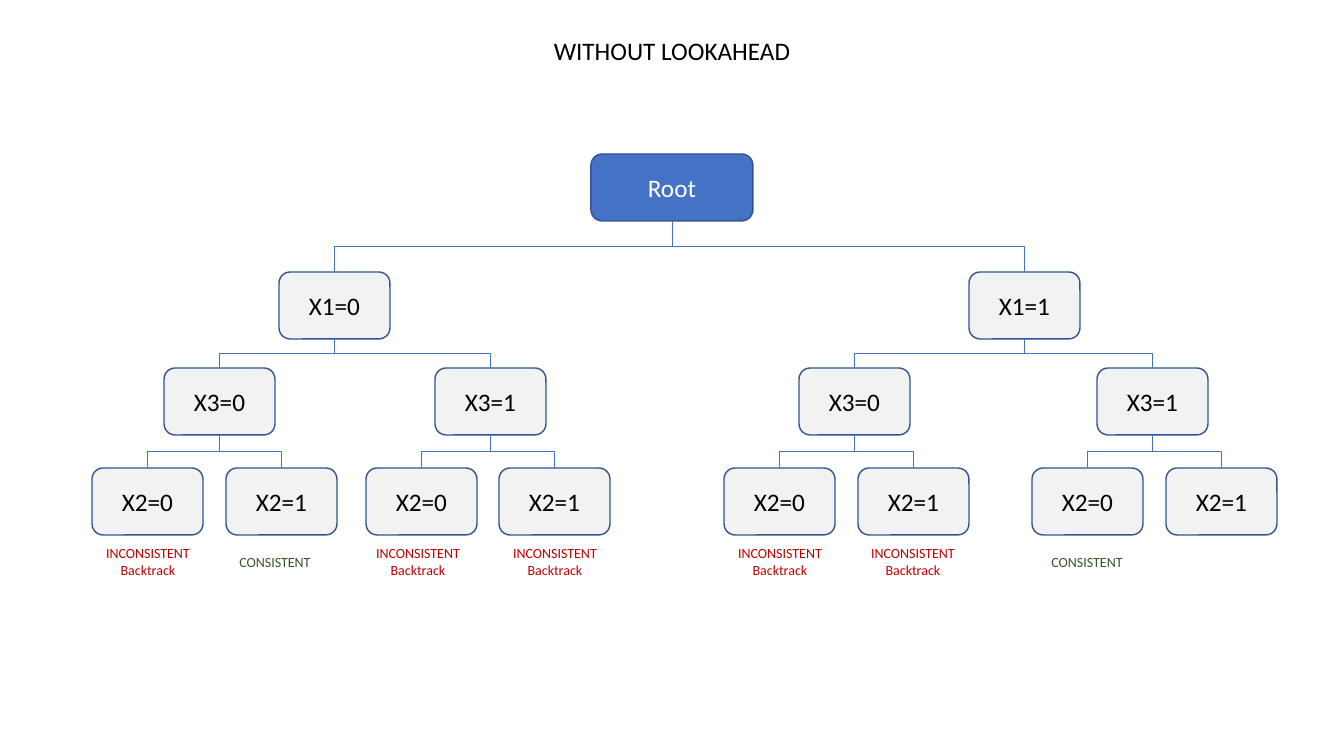
from dataclasses import dataclass
from typing import Optional

from pptx import Presentation, util as u
from pptx.dml.color import RGBColor
from pptx.enum import shapes, text
from pptx.oxml import ns, xmlchemy
from pptx.oxml.xmlchemy import OxmlElement

EMU_PER_PIXEL = 914400 / 100.8
FONT = "Calibri"
BLACK, WHITE = "000000", "FFFFFF"
ROOT_FILL, BRANCH_FILL = "4472C4", "F2F2F2"
OUTLINE, LINK = "325491", "4472C4"
LEVEL_TOPS = (154, 272, 368, 468)
NODE_HEIGHT, ROOT_WIDTH, BRANCH_WIDTH = 67, 162, 111
VERDICT_TOP, VERDICT_WIDTH, VERDICT_HEIGHT = 539, 122, 45


@dataclass(frozen=True)
class Verdict:
    wording: str
    color: str


@dataclass(frozen=True)
class Node:
    assignment: str
    centre: int
    children: tuple["Node", ...] = ()
    verdict: Optional[Verdict] = None
    verdict_centre: int = 0


INCONSISTENT = Verdict("INCONSISTENT\nBacktrack", "C00000")
CONSISTENT = Verdict("CONSISTENT", "385723")

# Search tree: centres in pixels
SEARCH_TREE = Node("Root", 672, (
    Node("X1=0", 334, (
        Node("X3=0", 219, (
            Node("X2=0", 147, verdict=INCONSISTENT, verdict_centre=148),
            Node("X2=1", 281, verdict=CONSISTENT, verdict_centre=275))),
        Node("X3=1", 490, (
            Node("X2=0", 421, verdict=INCONSISTENT, verdict_centre=418),
            Node("X2=1", 554, verdict=INCONSISTENT, verdict_centre=555))))),
    Node("X1=1", 1024, (
        Node("X3=0", 854, (
            Node("X2=0", 779, verdict=INCONSISTENT, verdict_centre=780),
            Node("X2=1", 913, verdict=INCONSISTENT, verdict_centre=913))),
        Node("X3=1", 1152, (
            Node("X2=0", 1087, verdict=CONSISTENT, verdict_centre=1087),
            Node("X2=1", 1221))))),
))


def px(pixels: int) -> u.Emu:
    return u.Emu(round(pixels * EMU_PER_PIXEL))


def rgb(color: str) -> RGBColor:
    return RGBColor.from_string(color)


def write(shape, wording: str, size: int, color: str) -> None:
    frame = shape.text_frame
    frame.text = wording
    frame.word_wrap = True
    frame.auto_size = text.MSO_AUTO_SIZE.NONE
    frame.vertical_anchor = text.MSO_ANCHOR.MIDDLE
    for paragraph in frame.paragraphs:
        paragraph.alignment = text.PP_ALIGN.CENTER
        paragraph.font.name = FONT
        paragraph.font.size = u.Pt(size)
        paragraph.font.color.rgb = rgb(color)


def draw_link(slide, parent, child) -> None:
    """Join parent's bottom to child's top with a vertical-first elbow."""
    start_x, start_y = parent.left + parent.width // 2, parent.top + parent.height
    end_x, end_y = child.left + child.width // 2, child.top
    link = slide.shapes.add_connector(
        shapes.MSO_CONNECTOR.ELBOW, start_x, start_y, end_x, end_y)
    link.begin_connect(parent, 2)
    link.end_connect(child, 0)
    link.line.color.rgb = rgb(LINK)
    link.line.width = u.Pt(0.5)
    # A quarter turn swaps width and height around the same middle
    drop, reach = end_y - start_y, abs(end_x - start_x)
    link.left = (start_x + end_x - drop) // 2
    link.top = (start_y + end_y - reach) // 2
    link.width, link.height = drop, reach
    goes_right = end_x > start_x
    properties = link._element.spPr
    xfrm = properties.find(ns.qn("a:xfrm"))
    xfrm.set("rot", str((270 if goes_right else 90) * 60000))
    xfrm.set("flipH", "1" if goes_right else "0")
    properties.append(OxmlElement("a:effectLst"))


def draw_node(slide, node: Node, level: int = 0):
    is_root = level == 0
    width = ROOT_WIDTH if is_root else BRANCH_WIDTH
    box = slide.shapes.add_shape(
        shapes.MSO_SHAPE.ROUNDED_RECTANGLE, px(node.centre - width // 2),
        px(LEVEL_TOPS[level]), px(width), px(NODE_HEIGHT))
    box.shadow.inherit = False
    box.fill.solid()
    box.fill.fore_color.rgb = rgb(ROOT_FILL if is_root else BRANCH_FILL)
    box.line.color.rgb = rgb(OUTLINE)
    box.line.width = u.Pt(1)
    write(box, node.assignment, 18, WHITE if is_root else BLACK)

    for child in node.children:
        draw_link(slide, box, draw_node(slide, child, level + 1))
    if node.verdict:
        note = slide.shapes.add_textbox(
            px(node.verdict_centre - VERDICT_WIDTH // 2), px(VERDICT_TOP),
            px(VERDICT_WIDTH), px(VERDICT_HEIGHT))
        write(note, node.verdict.wording, 10, node.verdict.color)
    return box


# Slide
presentation = Presentation()
presentation.slide_width, presentation.slide_height = px(1344), px(756)
slide = presentation.slides.add_slide(presentation.slide_layouts[5])

# Heading
heading = slide.shapes.title
heading.left, heading.top = px(70), px(17)
heading.width, heading.height = px(1204), px(67)
write(heading, "WITHOUT LOOKAHEAD", 18, BLACK)

# Tree
draw_node(slide, SEARCH_TREE)

presentation.save("out.pptx")
